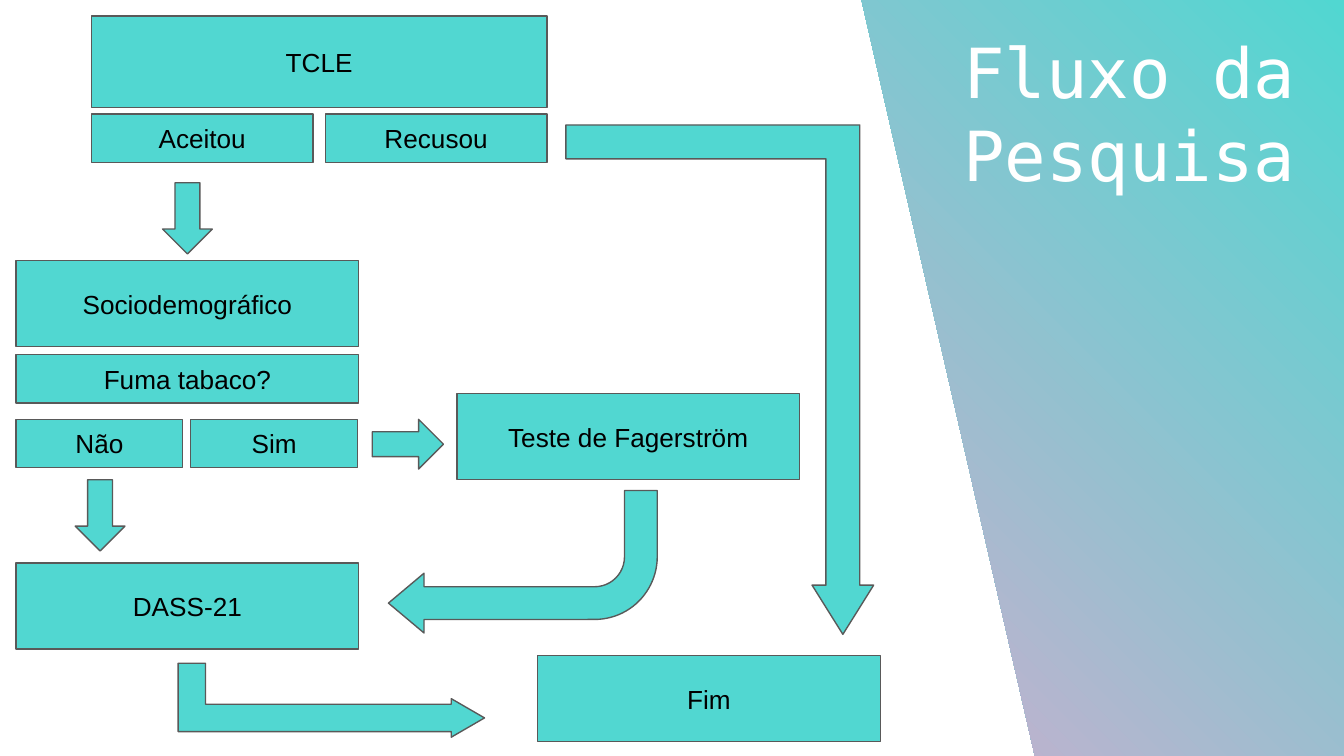
from pptx import Presentation
from pptx.dml.color import RGBColor
from pptx.enum import shapes, text
from pptx.util import Inches, Pt

TEAL, LILAC, GREY = "51D7D1", "CAAECE", "595959"
WHITE, BLACK = "FFFFFF", "000000"
MSO = shapes.MSO_SHAPE


def rgb(value):
    return RGBColor.from_string(value)


def add_block(kind, left, top, width, height):
    sp = s.shapes.add_shape(kind, Inches(left), Inches(top), Inches(width), Inches(height))
    sp.shadow.inherit = False
    sp.fill.solid()
    sp.fill.fore_color.rgb = rgb(TEAL)
    sp.line.color.rgb = rgb(GREY)
    sp.line.width = Pt(0.75)
    return sp


# Widescreen 16:9 slide
prs = Presentation()
prs.slide_width = Inches(10)
prs.slide_height = Inches(10) * 9 // 16
s = prs.slides.add_slide(prs.slide_layouts[5])

# Slanted gradient panel
outline = s.shapes.build_freeform(Inches(6.41), 0)
outline.add_line_segments(
    [
        (prs.slide_width, 0),
        (prs.slide_width, prs.slide_height),
        (Inches(7.7), prs.slide_height),
    ],
    close=True,
)
panel = outline.convert_to_shape()
panel.shadow.inherit = False
panel.line.fill.background()
panel.fill.gradient()
panel.fill.gradient_angle = 225
for stop, color in zip(panel.fill.gradient_stops, (TEAL, LILAC)):
    stop.color.rgb = rgb(color)

# Title, brought in front of the panel
title = s.shapes.title
s.shapes._spTree.append(title._element)
title.left, title.top = Inches(6.72), Inches(0.12)
title.width, title.height = Inches(3.02), Inches(1.02)
tf = title.text_frame
tf.text = "Fluxo da Pesquisa"
tf.word_wrap = True
tf.auto_size = text.MSO_AUTO_SIZE.NONE
tf.vertical_anchor = text.MSO_ANCHOR.TOP
tf.margin_left = tf.margin_right = tf.margin_top = tf.margin_bottom = Inches(0.1)
p = tf.paragraphs[0]
p.alignment = text.PP_ALIGN.RIGHT
p.font.name, p.font.size = "DejaVu Sans Mono", Pt(37)
p.font.color.rgb = rgb(WHITE)

# Step boxes: label, left, top, width, height
STEP_W, STEP_H, ANSWER_H = 2.55, 0.64, 0.36
steps = [
    ("TCLE", 0.68, 0.12, 3.39, 0.68),
    ("Aceitou", 0.68, 0.85, 1.65, ANSWER_H),
    ("Recusou", 2.42, 0.85, 1.65, ANSWER_H),
    ("Sociodemográfico", 0.12, 1.94, STEP_W, STEP_H),
    ("Fuma tabaco?", 0.12, 2.64, STEP_W, ANSWER_H),
    ("Não", 0.12, 3.12, 1.24, ANSWER_H),
    ("Sim", 1.42, 3.12, 1.24, ANSWER_H),
    ("Teste de Fagerström", 3.4, 2.93, STEP_W, STEP_H),
    ("DASS-21", 0.12, 4.19, STEP_W, STEP_H),
    ("Fim", 4, 4.88, STEP_W, STEP_H),
]
for label, *frame in steps:
    sp = add_block(MSO.RECTANGLE, *frame)
    tf = sp.text_frame
    tf.text = label
    tf.word_wrap = True
    tf.vertical_anchor = text.MSO_ANCHOR.MIDDLE
    tf.margin_left = tf.margin_right = tf.margin_top = tf.margin_bottom = Inches(0.1)
    p = tf.paragraphs[0]
    p.alignment = text.PP_ALIGN.CENTER
    p.font.name, p.font.size = "Arial", Pt(14)
    p.font.color.rgb = rgb(BLACK)

# Short straight arrows: left, top, rotation
for left, top, rotation in [(1.21, 1.36, 0), (0.56, 3.57, 0), (2.85, 3.04, 270)]:
    add_block(MSO.DOWN_ARROW, left, top, 0.37, 0.53).rotation = rotation

# Bent arrows: kind, frame, rotation, mirrored, adjustments
bent_arrows = [
    (MSO.BENT_UP_ARROW, (2.19, 4.07, 0.55, 2.28), 90, False, (0.37, 0.26, 0.45)),
    (MSO.BENT_ARROW, (2.89, 3.65, 2, 1.06), 180, False, (0.23, 0.21, 0.25, 0.44)),
    (MSO.BENT_UP_ARROW, (4.21, 0.93, 2.29, 3.79), 180, True, (0.11, 0.1, 0.16)),
]
for kind, frame, rotation, mirrored, adjustments in bent_arrows:
    sp = add_block(kind, *frame)
    sp.rotation = rotation
    if mirrored:
        sp._element.spPr.xfrm.set("flipH", "1")
    for i, value in enumerate(adjustments):
        sp.adjustments[i] = value

prs.save("out.pptx")
